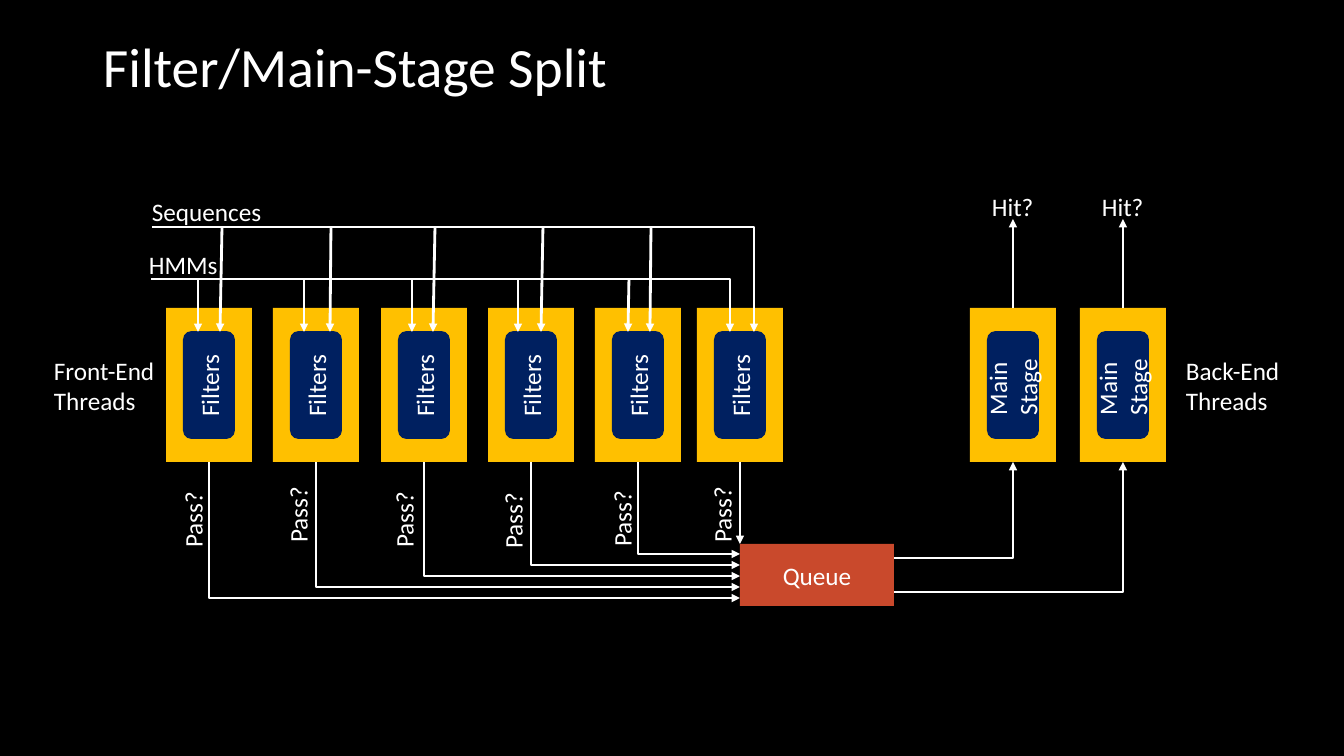
from lxml.etree import SubElement
from pptx import Presentation
from pptx.dml.color import RGBColor
from pptx.enum.shapes import MSO_CONNECTOR, MSO_SHAPE
from pptx.enum.text import MSO_ANCHOR, MSO_AUTO_SIZE, PP_ALIGN
from pptx.oxml.ns import qn
from pptx.util import Pt

PX = 914400 / 100.8
BLACK = RGBColor(0x00, 0x00, 0x00)
WHITE = RGBColor(0xFF, 0xFF, 0xFF)
GOLD = RGBColor(0xFF, 0xC0, 0x00)
NAVY = RGBColor(0x00, 0x20, 0x60)
RUST = RGBColor(0xC9, 0x49, 0x2C)

STAGE_W, STAGE_H = 86, 154
INSET_X, INSET_Y = 17, 23


def px(*lengths):
    return [round(n * PX) for n in lengths]


def write(tf, text, size=18, align=PP_ALIGN.LEFT, anchor=MSO_ANCHOR.TOP, spacing=None):
    tf.vertical_anchor = anchor
    for i, line in enumerate(text.split("\n")):
        p = tf.add_paragraph() if i else tf.paragraphs[0]
        p.alignment = align
        if spacing:
            p.line_spacing = spacing
        r = p.add_run()
        r.text = line
        r.font.name = "Calibri"
        r.font.size = Pt(size)
        r.font.color.rgb = WHITE


def label(shapes, box, text, rotation=0, wrap=False, grow=True, **fmt):
    s = shapes.add_textbox(*px(*box))
    s.rotation = rotation
    tf = s.text_frame
    tf.word_wrap = wrap
    tf.auto_size = MSO_AUTO_SIZE.SHAPE_TO_FIT_TEXT if grow else MSO_AUTO_SIZE.NONE
    write(tf, text, **fmt)


def block(shapes, kind, box, color):
    s = shapes.add_shape(kind, *px(*box))
    s.shadow.inherit = False
    s.fill.solid()
    s.fill.fore_color.rgb = color
    s.line.fill.background()
    return s


def arrow(shapes, start, end, kind=MSO_CONNECTOR.STRAIGHT):
    c = shapes.add_connector(kind, *px(*start, *end))
    c.line.color.rgb = WHITE
    c.line.width = Pt(2)
    SubElement(c.line._get_or_add_ln(), qn("a:tailEnd"), type="triangle")
    sp_pr = c._element.spPr
    SubElement(sp_pr, qn("a:effectLst"))
    if kind == MSO_CONNECTOR.ELBOW:
        sp_pr.find(qn("a:prstGeom")).set("prst", "bentConnector2")
    return c


def across_then_vertical(shapes, start, end):
    arrow(shapes, start, end, MSO_CONNECTOR.ELBOW)


def down_then_across(shapes, start, end):
    (x1, y1), (x2, y2) = start, end
    cx, cy = (x1 + x2) / 2, (y1 + y2) / 2
    half_w, half_h = (y2 - y1) / 2, (x2 - x1) / 2
    c = arrow(shapes, (cx - half_w, cy - half_h), (cx + half_w, cy + half_h),
              MSO_CONNECTOR.ELBOW)
    xfrm = c._element.spPr.find(qn("a:xfrm"))
    xfrm.set("rot", "16200000")
    xfrm.set("flipH", "1")


def stage(shapes, x, y, text, text_w, text_h):
    group = shapes.add_group_shape().shapes
    block(group, MSO_SHAPE.RECTANGLE, (x, y, STAGE_W, STAGE_H), GOLD)
    block(group, MSO_SHAPE.ROUNDED_RECTANGLE,
          (x + INSET_X, y + INSET_Y, STAGE_W - 2 * INSET_X, STAGE_H - 2 * INSET_Y), NAVY)
    text_box = (x + (STAGE_W - text_w) / 2, y + (STAGE_H - text_h) / 2, text_w, text_h)
    label(group, text_box, text, rotation=270)


def title(shapes, x, y, w, h):
    label(shapes, (x, y, w, h), "Filter/Main-Stage Split", wrap=True, grow=False,
          size=39.6, anchor=MSO_ANCHOR.MIDDLE, spacing=0.9)


def feed(shapes, x, y, w, h, text, text_box, drops):
    across_then_vertical(shapes, (x, y), (x + w, y + h))
    dx, dy, text_w, text_h = text_box
    label(shapes, (x + dx, y + dy, text_w, text_h), text)
    for top, bottom in drops:
        arrow(shapes, (x + top, y), (x + bottom, y + h))


def front_end(shapes, x, y, queue_x, queue_y):
    label(shapes, (x - 122, y + 42, 122, 72), "Front-End\nThreads")
    offsets = [0, 107, 215, 322, 429, 531]
    pass_marks = [(-12, 191), (-14, 186), (-16, 191), (-14, 192), (-12, 190), (-14, 186)]
    for i, (offset, (dx, dy)) in enumerate(zip(offsets, pass_marks)):
        left, bottom = x + offset, y + STAGE_H
        stage(shapes, left, y, "Filters", 83, 40)
        start = (left + STAGE_W / 2, bottom)
        if offset == offsets[-1]:
            arrow(shapes, start, (queue_x, queue_y))
        else:
            down_then_across(shapes, start, (queue_x, queue_y + 54 - 11 * i))
        label(shapes, (left + dx, y + dy, 77, 40), "Pass?", rotation=270)


def queue(shapes, x, y, w, h):
    s = block(shapes, MSO_SHAPE.RECTANGLE, (x, y, w, h), RUST)
    write(s.text_frame, "Queue", align=PP_ALIGN.CENTER, anchor=MSO_ANCHOR.MIDDLE)


def back_end(shapes, x, y, queue_right, queue_y):
    for offset, exit_y in ((0, 14), (110, 48)):
        left = x + offset
        center = left + STAGE_W / 2
        stage(shapes, left, y, "Main\nStage", 80, 72)
        across_then_vertical(shapes, (queue_right, queue_y + exit_y), (center, y + STAGE_H))
        arrow(shapes, (center, y), (center, y - 89))
        label(shapes, (center - 31, y - 122, 62, 40), "Hit?")
    label(shapes, (x + 206, y + 42, 115, 72), "Back-End\nThreads", wrap=True)


def main():
    prs = Presentation()
    prs.slide_width, prs.slide_height = px(1344, 756)
    slide = prs.slides.add_slide(prs.slide_layouts[6])
    slide.background.fill.solid()
    slide.background.fill.fore_color.rgb = BLACK
    shapes = slide.shapes

    title(shapes, 93, 40, 1159, 60)
    front_end(shapes, 166, 308, 740, 544)
    feed(shapes, 152, 227, 602, 105, "Sequences", (-10, -36, 131, 40),
         [(70, 68), (179, 178), (283, 281), (391, 389), (499, 498)])
    feed(shapes, 151, 279, 579, 53, "HMMs", (-12, -35, 90, 40),
         [(47, 47), (153, 153), (261, 261), (367, 367), (478, 477)])
    queue(shapes, 740, 544, 154, 62)
    back_end(shapes, 970, 308, 894, 544)
    prs.save("out.pptx")


if __name__ == "__main__":
    main()
